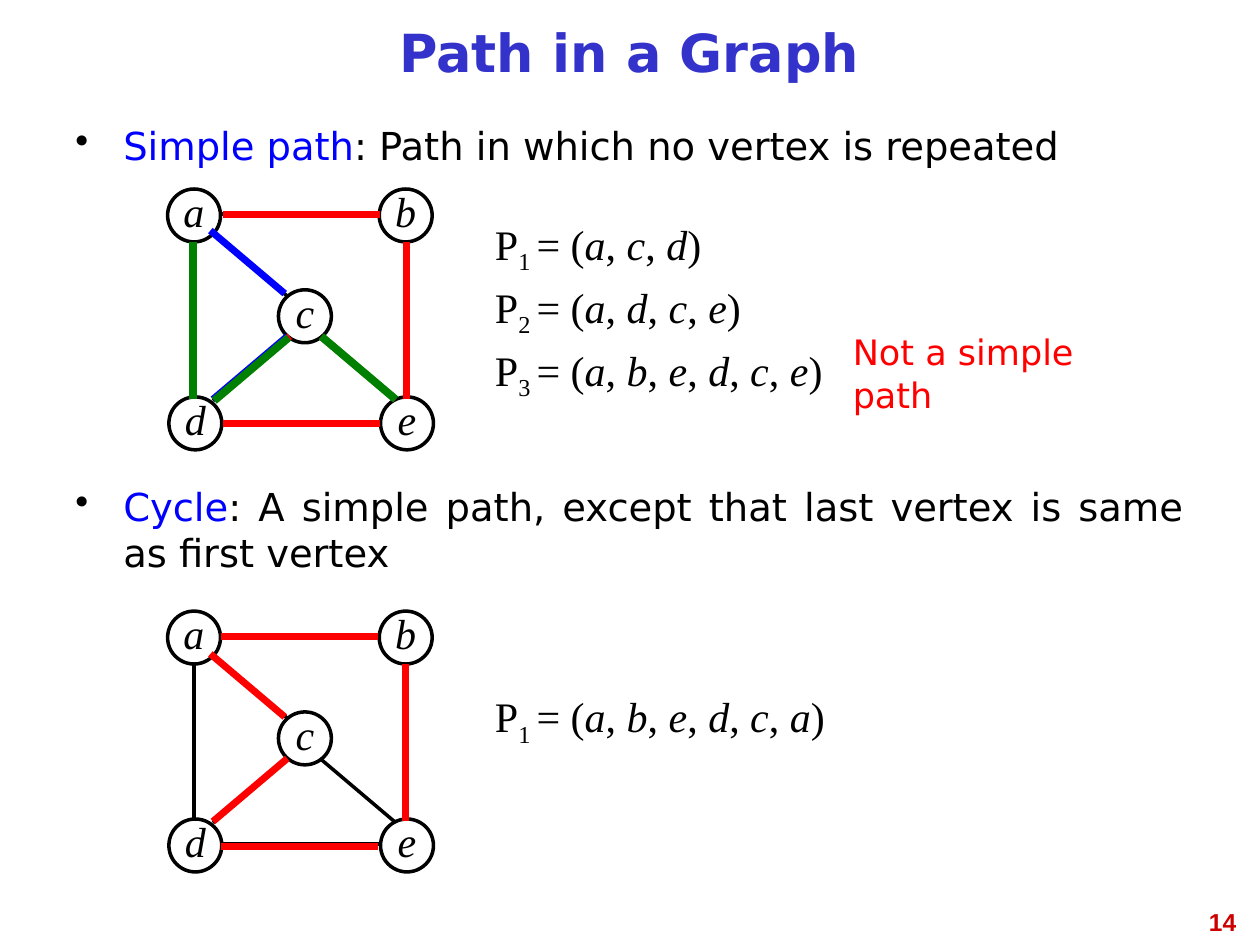
from dataclasses import dataclass
from typing import NamedTuple

from lxml import etree
from pptx import Presentation
from pptx.dml.color import RGBColor
from pptx.enum import shapes, text
from pptx.oxml import ns
from pptx.util import Inches, Pt


@dataclass(frozen=True)
class Theme:
    black: str = "000000"
    red: str = "FF0000"
    blue: str = "0000FF"
    green: str = "008000"
    title: str = "3333CC"
    number: str = "CC0000"
    sans: str = "DejaVu Sans"
    serif: str = "Times New Roman"
    arial: str = "Arial"
    title_pt: float = 30
    body_pt: float = 22
    math_pt: float = 24
    note_pt: float = 20
    number_pt: float = 14
    thin_pt: float = 2
    path_pt: float = 4
    wide_pt: float = 4.5


class Box(NamedTuple):
    left: float
    top: float
    width: float
    height: float


class Edge(NamedTuple):
    x1: float
    y1: float
    x2: float
    y2: float


class Highlight(NamedTuple):
    """A coloured edge, nudged slightly off the thin edge below it."""
    edge: str
    color: str
    width: float
    dx: float = 0
    dy: float = 0


class Graph(NamedTuple):
    top: float
    highlights: list[Highlight]


class Path(NamedTuple):
    index: int
    vertices: str
    top: float


T = Theme()
NODE_SIZE = 0.42

# Positions are measured from the left of the slide and the top of a graph.
NODES = {"a": (1.33, 0), "b": (3.01, 0), "d": (1.34, 1.65),
         "e": (3.02, 1.65), "c": (2.21, 0.8)}
EDGES = {
    "ab": Edge(1.74, 0.2, 2.99, 0.2),
    "de": Edge(1.76, 1.85, 3.01, 1.85),
    "ad": Edge(1.54, 1.67, 1.54, 0.42),
    "be": Edge(3.21, 1.67, 3.21, 0.42),
    "ac": Edge(1.69, 0.35, 2.28, 0.85),
    "ce": Edge(2.54, 1.17, 3.13, 1.67),
    "cd": Edge(2.28, 1.18, 1.69, 1.68),
}

GRAPHS = [
    Graph(1.5, [
        Highlight("ab", T.red, T.path_pt, 0.03),
        Highlight("be", T.red, T.path_pt, 0.02),
        Highlight("de", T.red, T.path_pt, 0.01, 0.01),
        Highlight("cd", T.red, T.path_pt, 0.02, -0.01),
        Highlight("ce", T.red, T.path_pt, 0.01),
        Highlight("ac", T.blue, T.path_pt, -0.02, -0.02),
        Highlight("cd", T.blue, T.path_pt, 0, -0.01),
        Highlight("ad", T.green, T.wide_pt, -0.01),
        Highlight("cd", T.green, T.wide_pt, 0.01),
        Highlight("ce", T.green, T.wide_pt, 0.01),
    ]),
    Graph(4.85, [
        Highlight("ab", T.red, T.path_pt, 0.01),
        Highlight("be", T.red, T.path_pt, 0.01),
        Highlight("de", T.red, T.path_pt, -0.01, 0.02),
        Highlight("cd", T.red, T.path_pt, 0, -0.01),
        Highlight("ac", T.red, T.path_pt, -0.02, -0.01),
    ]),
]
PATHS = [Path(1, "acd", 1.75), Path(2, "adce", 2.25),
         Path(3, "abedce", 2.75), Path(1, "abedca", 5.5)]
DEFINITIONS = [
    ("Simple path", ": Path in which no vertex is repeated", 0),
    ("Cycle", ": A simple path, except that last vertex is same as first vertex", 180),
]


def add_run(p, words: str, size: float, color: str, font: str = T.sans,
            bold: bool = False, italic: bool = False):
    r = p.add_run()
    r.text = words
    f = r.font
    f.size, f.name, f.bold, f.italic = Pt(size), font, bold, italic
    f.color.rgb = RGBColor.from_string(color)
    return r


def add_box(s, box: Box, wrap: bool = True, anchor=text.MSO_ANCHOR.MIDDLE):
    tf = s.shapes.add_textbox(*map(Inches, box)).text_frame
    tf.word_wrap = wrap
    tf.vertical_anchor = anchor
    return tf


def add_line(s, edge: Edge, top: float, color: str, width: float,
             dx: float = 0, dy: float = 0) -> None:
    cn = s.shapes.add_connector(
        shapes.MSO_CONNECTOR.STRAIGHT,
        Inches(edge.x1 + dx), Inches(top + edge.y1 + dy),
        Inches(edge.x2 + dx), Inches(top + edge.y2 + dy))
    cn.line.color.rgb = RGBColor.from_string(color)
    cn.line.width = Pt(width)
    etree.SubElement(cn._element.spPr, ns.qn("a:effectLst"))


def add_node(s, name: str, left: float, top: float) -> None:
    sp = s.shapes.add_shape(shapes.MSO_SHAPE.OVAL, Inches(left), Inches(top),
                            Inches(NODE_SIZE), Inches(NODE_SIZE))
    sp.shadow.inherit = False
    sp.fill.background()
    sp.line.color.rgb = RGBColor.from_string(T.black)
    sp.line.width = Pt(T.thin_pt)
    tf = sp.text_frame
    tf.word_wrap = False
    tf.vertical_anchor = text.MSO_ANCHOR.MIDDLE
    p = tf.paragraphs[0]
    p.alignment = text.PP_ALIGN.CENTER
    p.line_spacing = 0.81
    add_run(p, name, T.math_pt, T.black, T.serif, italic=True)


def add_graph(s, graph: Graph) -> None:
    for name, (x, y) in NODES.items():
        add_node(s, name, x, graph.top + y)
    for edge in EDGES.values():
        add_line(s, edge, graph.top, T.black, T.thin_pt)
    for h in graph.highlights:
        add_line(s, EDGES[h.edge], graph.top, h.color, h.width, h.dx, h.dy)


def add_path(s, path: Path) -> None:
    """Write a path as P with a subscript and its vertices in italics."""
    p = add_box(s, Box(3.83, path.top, 2.83, 0.42), wrap=False).paragraphs[0]
    style = (T.math_pt, T.black, T.serif)
    add_run(p, "P", *style)
    index = add_run(p, f"{path.index} ", *style)
    index.font._element.set("baseline", "-25000")
    for i, vertex in enumerate(path.vertices):
        add_run(p, ", " if i else "= (", *style)
        add_run(p, vertex, *style, italic=True)
    add_run(p, ")", *style)


def add_definitions(s) -> None:
    tf = add_box(s, Box(0.5, 0.92, 8.99, 5.83), anchor=text.MSO_ANCHOR.TOP)
    for i, (term, meaning, gap) in enumerate(DEFINITIONS):
        p = tf.add_paragraph() if i else tf.paragraphs[0]
        p.alignment = text.PP_ALIGN.JUSTIFY
        p.space_before = Pt(gap)
        pPr = p._p.get_or_add_pPr()
        pPr.set("marL", str(Inches(0.38)))
        pPr.set("indent", str(-Inches(0.38)))
        color = etree.SubElement(pPr, ns.qn("a:buClr"))
        etree.SubElement(color, ns.qn("a:srgbClr"), val=T.black)
        etree.SubElement(pPr, ns.qn("a:buChar"), char="•")
        add_run(p, term, T.body_pt, T.blue)
        add_run(p, meaning, T.body_pt, T.black)


def main() -> None:
    prs = Presentation()
    prs.slide_width, prs.slide_height = Inches(10), Inches(7.5)
    s = prs.slides.add_slide(prs.slide_layouts[6])

    p = add_box(s, Box(7.58, 7.15, 2.33, 0.52), anchor=text.MSO_ANCHOR.TOP).paragraphs[0]
    p.alignment = text.PP_ALIGN.RIGHT
    add_run(p, "14", T.number_pt, T.number, T.arial, bold=True)
    p = add_box(s, Box(0.5, 0.08, 8.99, 0.75)).paragraphs[0]
    p.alignment, p.line_spacing = text.PP_ALIGN.CENTER, 0.81
    add_run(p, "Path in a Graph", T.title_pt, T.title, bold=True)

    add_definitions(s)
    for graph in GRAPHS:
        add_graph(s, graph)
    for path in PATHS:
        add_path(s, path)
    p = add_box(s, Box(6.67, 2.75, 2.67, 0.42), wrap=False).paragraphs[0]
    add_run(p, "Not a simple path", T.note_pt, T.red)
    prs.save("out.pptx")


if __name__ == "__main__":
    main()
